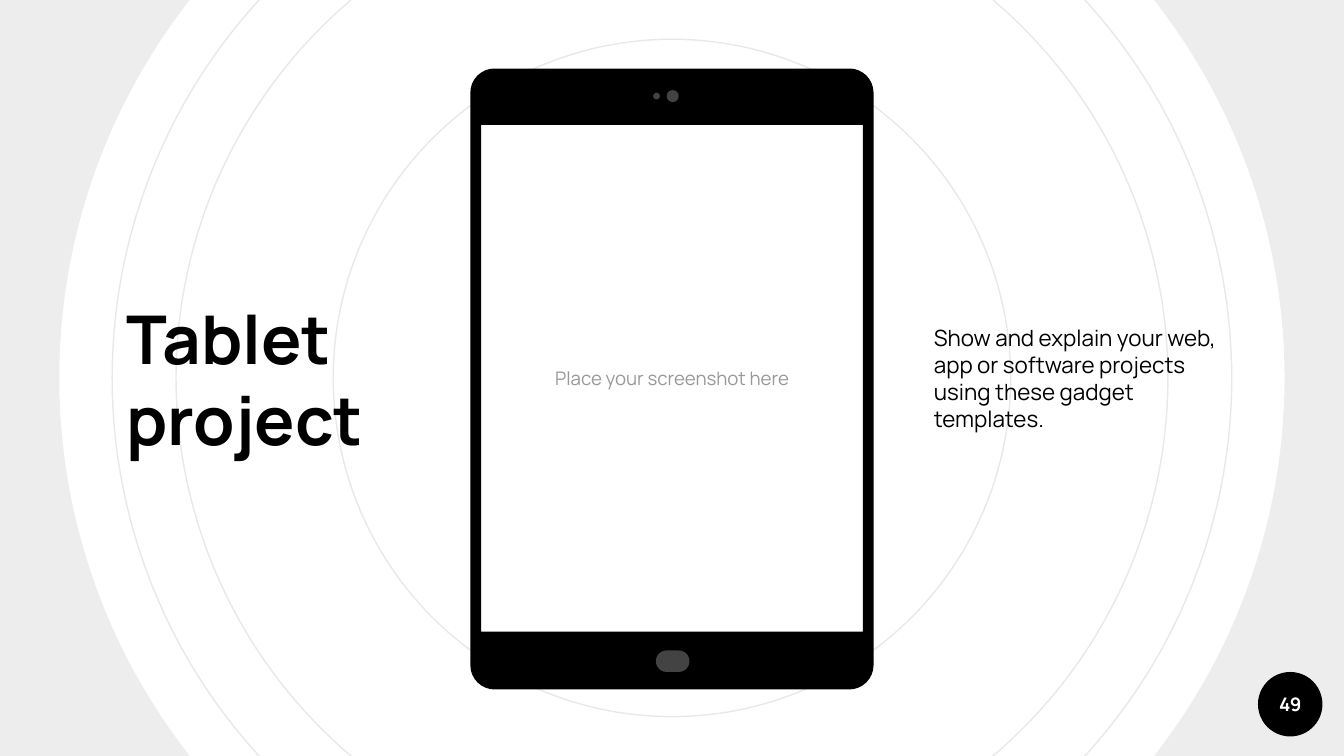
from math import cos, pi, sin

from lxml.etree import SubElement
from pptx import Presentation
from pptx.dml.color import RGBColor
from pptx.enum.shapes import MSO_SHAPE
from pptx.enum.text import MSO_ANCHOR, MSO_AUTO_SIZE, PP_ALIGN
from pptx.oxml.ns import qn
from pptx.util import Inches, Pt

# Content
TITLE = "Tablet project"
DESCRIPTION = ("Show and explain your web, app or software projects "
               "using these gadget templates.")
SCREEN_HINT = "Place your screenshot here"
PAGE_NUMBER = "49"

# Geometry in inches: left, top, width, height
FONT = "Manrope"
SLIDE_WIDTH = 10
SLIDE_HEIGHT = SLIDE_WIDTH * 9 / 16
CENTER_X, CENTER_Y = SLIDE_WIDTH / 2, SLIDE_HEIGHT / 2
CIRCLE_DIAMETERS = [8.33, 7.38, 5.04]
RING_DIAMETER = 11.54
TABLET_BOX = (3.5, 0.51, 3, 4.62)
SCREEN_BOX = (3.58, 0.93, 2.84, 3.77)
CORNER_RADIUS = 0.18
TABLET_DETAILS = [
    (MSO_SHAPE.ROUNDED_RECTANGLE, (4.88, 4.84, 0.25, 0.16)),  # home button
    (MSO_SHAPE.OVAL, (4.86, 0.69, 0.05, 0.05)),  # sensor
    (MSO_SHAPE.OVAL, (4.96, 0.67, 0.09, 0.09)),  # camera
]
TITLE_BOX = (0.84, 0.49, 2.32, 4.65)
DESCRIPTION_BOX = (6.85, 0.49, 2.32, 4.65)
BADGE_BOX = (9.36, 5, 0.48, 0.48)


def color(value):
    return RGBColor.from_string(value)


def inches(values):
    return [Inches(value) for value in values]


def centered(diameter):
    return (CENTER_X - diameter / 2, CENTER_Y - diameter / 2, diameter, diameter)


def paint(shape, fill=None, line=None):
    shape.shadow.inherit = False
    if fill:
        shape.fill.solid()
        shape.fill.fore_color.rgb = color(fill)
    else:
        shape.fill.background()
    if line:
        shape.line.color.rgb = color(line)
        shape.line.width = Pt(0.75)
    else:
        shape.line.fill.background()
    return shape


def add_preset(shapes, preset, box, **paint_options):
    return paint(shapes.add_shape(preset, *inches(box)), **paint_options)


def write(shape, text, size, ink="000000", bold=False, align=PP_ALIGN.LEFT, before=0):
    frame = shape.text_frame
    frame.word_wrap = True
    frame.auto_size = MSO_AUTO_SIZE.NONE
    frame.vertical_anchor = MSO_ANCHOR.MIDDLE
    frame.margin_left = frame.margin_right = Inches(0.1)
    frame.margin_top = frame.margin_bottom = Inches(0.1)
    paragraph = frame.paragraphs[0]
    paragraph.alignment = align
    paragraph.space_before = Pt(before)
    run = paragraph.add_run()
    run.text = text
    run.font.name = FONT
    run.font.size = Pt(size)
    run.font.bold = bold
    run.font.color.rgb = color(ink)


def rounded_outline(box, radius, steps=8):
    left, top, width, height = box
    right, bottom = left + width - radius, top + height - radius
    left, top = left + radius, top + radius
    corners = [(right, bottom), (left, bottom), (left, top), (right, top)]
    return [inches((x + radius * cos(angle), y + radius * sin(angle)))
            for quarter, (x, y) in enumerate(corners)
            for angle in [(quarter + step / steps) * pi / 2 for step in range(steps + 1)]]


presentation = Presentation()
presentation.slide_width, presentation.slide_height = inches((SLIDE_WIDTH, SLIDE_HEIGHT))
slide = presentation.slides.add_slide(presentation.slide_layouts[5])
shapes = slide.shapes
slide.background.fill.solid()
slide.background.fill.fore_color.rgb = color("FFFFFF")

# Background circles and translucent ring
for diameter in CIRCLE_DIAMETERS:
    add_preset(shapes, MSO_SHAPE.OVAL, centered(diameter), line="E8E8E8")
ring = add_preset(shapes, MSO_SHAPE.DONUT, centered(RING_DIAMETER), fill="000000")
ring.adjustments[0] = 0.105
ring_color = ring.fill._xPr.find(qn("a:solidFill"))[0]
SubElement(ring_color, qn("a:alpha"), val="7000")

# Page number badge
add_preset(shapes, MSO_SHAPE.OVAL, BADGE_BOX, fill="000000")
number = shapes.add_textbox(*inches(BADGE_BOX))
write(number, PAGE_NUMBER, 10, ink="FFFFFF", bold=True, align=PP_ALIGN.CENTER)

# Screen hint
hint = shapes.add_textbox(*inches(SCREEN_BOX))
write(hint, SCREEN_HINT, 10, ink="999999", align=PP_ALIGN.CENTER)

# Tablet: frame with an open screen, then its button, sensor and camera
tablet = shapes.add_group_shape().shapes
left, top, width, height = inches(SCREEN_BOX)
right, bottom = left + width, top + height
outline = rounded_outline(TABLET_BOX, CORNER_RADIUS)
builder = tablet.build_freeform(*outline[0])
builder.add_line_segments(outline[1:])
builder.move_to(left, top)
builder.add_line_segments([(left, bottom), (right, bottom), (right, top)])
paint(builder.convert_to_shape(), fill="000000")
for preset, box in TABLET_DETAILS:
    detail = add_preset(tablet, preset, box, fill="434343")
    if preset == MSO_SHAPE.ROUNDED_RECTANGLE:
        detail.adjustments[0] = 0.5

# Title and description, in front of the circles
title = shapes.title
title.left, title.top, title.width, title.height = inches(TITLE_BOX)
write(title, TITLE, 36, bold=True, before=6)
shapes._spTree.append(title._element)
description = shapes.add_textbox(*inches(DESCRIPTION_BOX))
write(description, DESCRIPTION, 12, before=6)

presentation.save("out.pptx")
